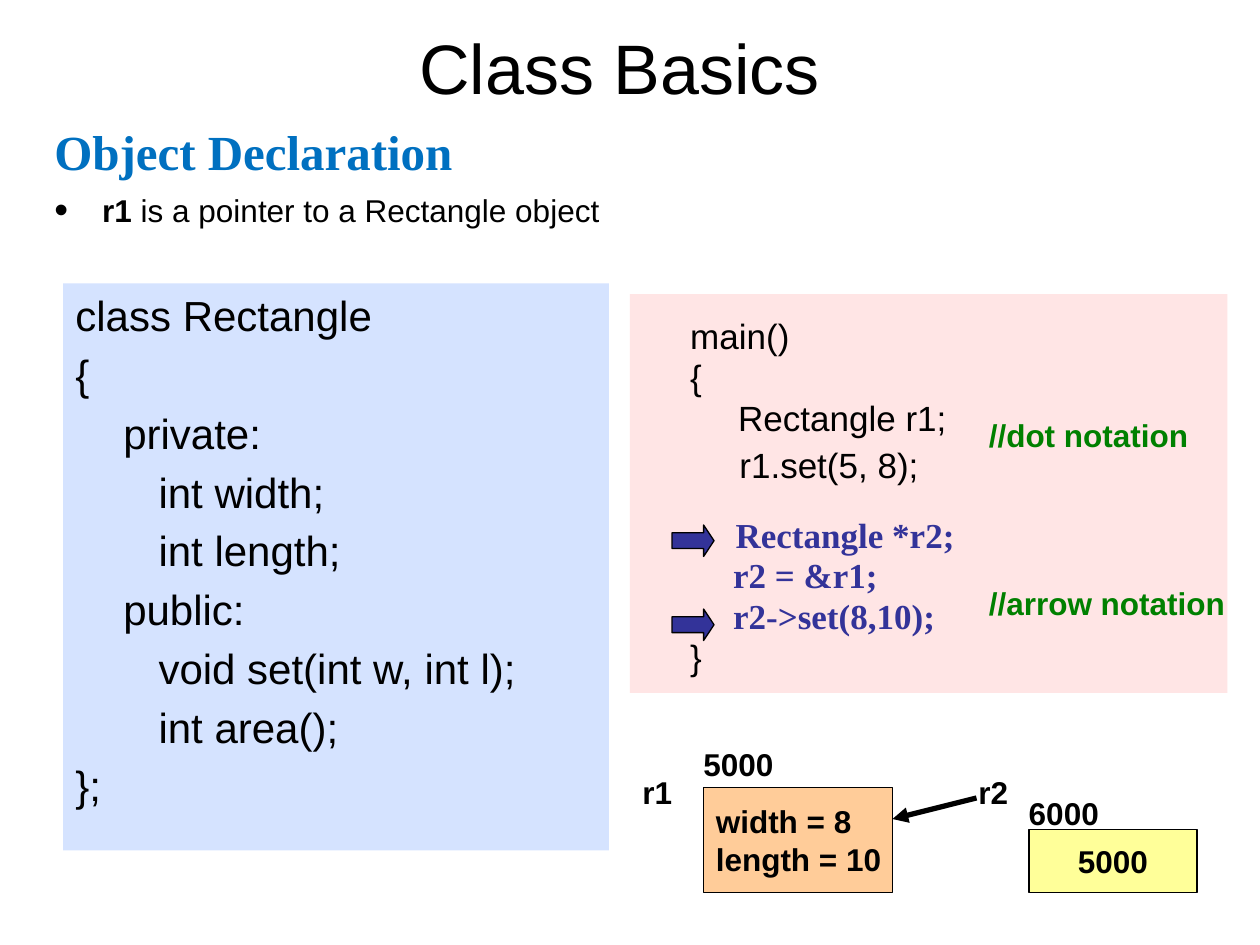
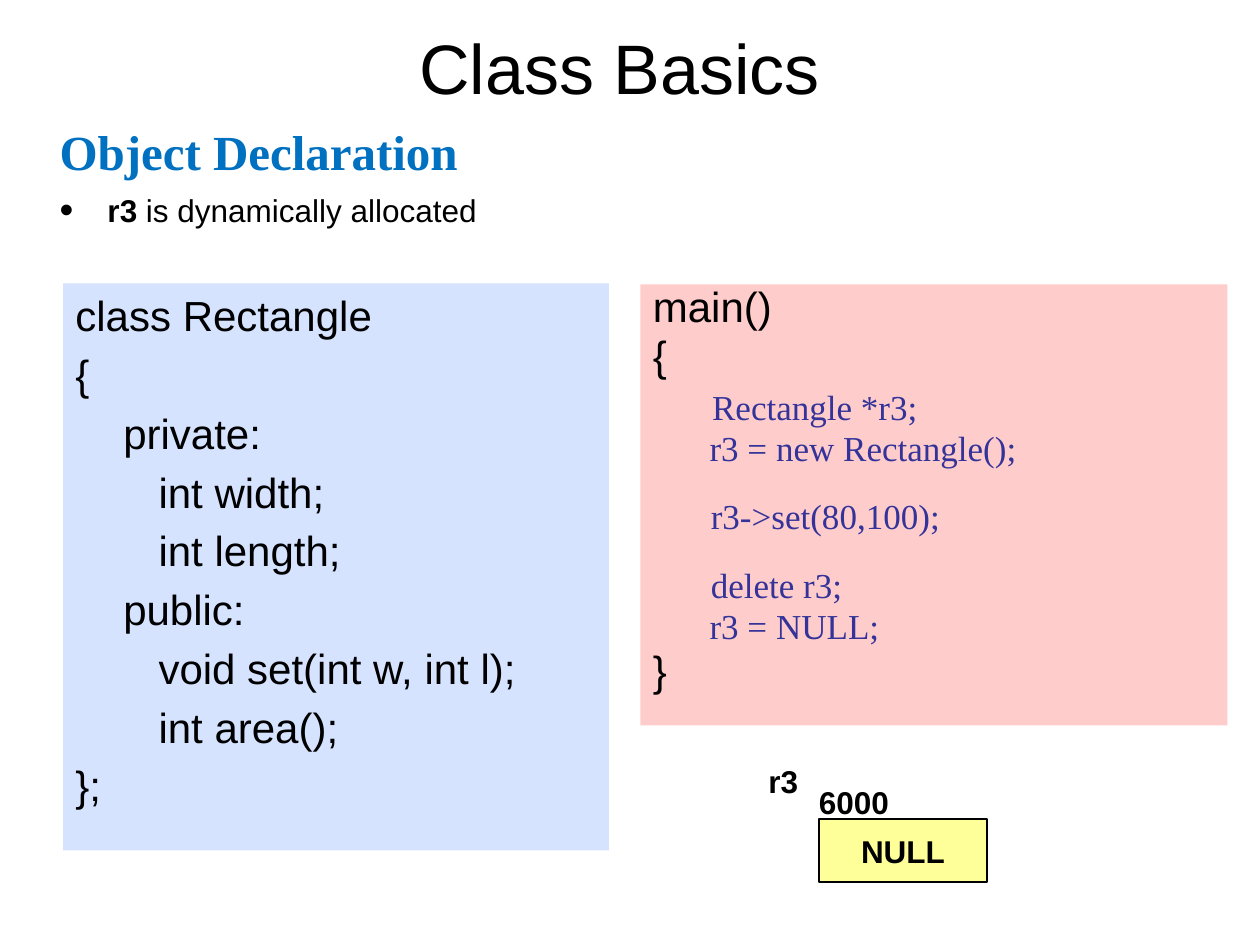
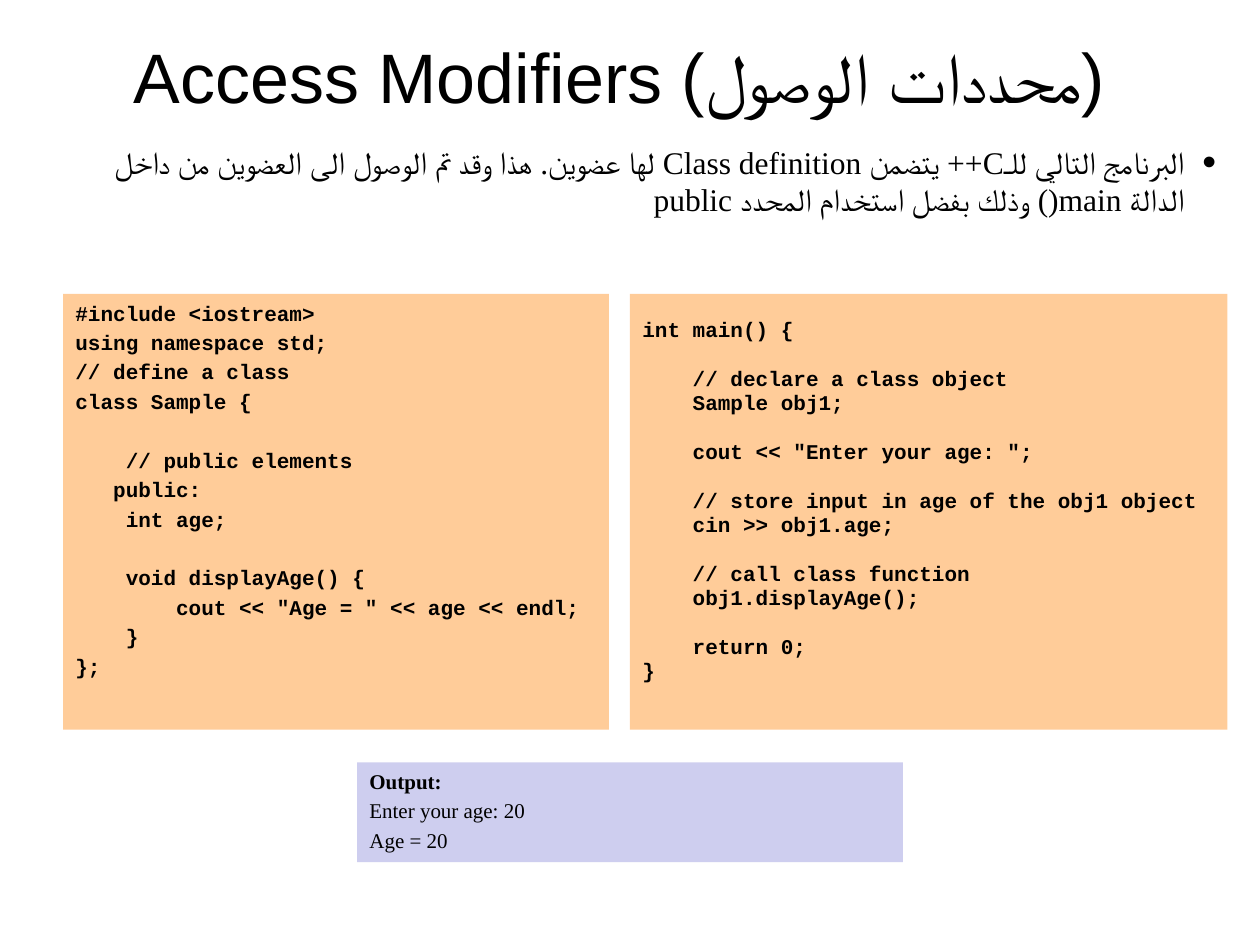
from pptx import Presentation
from pptx.dml.color import RGBColor as Rgb
from pptx.enum.shapes import MSO_CONNECTOR as Link, MSO_SHAPE as Kind
from pptx.enum.text import MSO_ANCHOR as Anchor, PP_ALIGN as Align
from pptx.oxml.ns import qn
from pptx.util import Inches, Pt
from lxml.etree import SubElement as Sub

UNIT = Inches(1) // 12
HUE = {
    "ink": "000000", "head": "0070C0", "code": "333399", "note": "008000",
    "class": "D5E3FF", "rose": "FFE5E5", "pink": "FFCCCC",
    "peach": "FFCC99", "lemon": "FFFF99", "mauve": "CECEEF",
}


def style(name, size, bold=False, hue="ink"):
    return {"name": name, "size": Pt(size), "bold": bold, "hue": hue}


SANS, SERIF, MONO = "Arial", "Times New Roman", "Courier New"
FONT = {
    "title": style(SANS, 40),
    "head": style(SERIF, 28, True, "head"),
    "body": style(SANS, 18),
    "bold": style(SANS, 18, True),
    "note": style(SANS, 18, True, "note"),
    "arab": style(SERIF, 18),
    "big": style(SANS, 24),
    "mid": style(SANS, 20),
    "call": style(SERIF, 20, True, "code"),
    "step": style(SERIF, 20, False, "code"),
    "mono": style(MONO, 12, True),
    "out": style(SERIF, 12),
    "cap": style(SERIF, 12, True),
}

CLASS = [
    (0, 0, "big", "class Rectangle"),
    (4.8, 0, "big", "{"),
    (4.8, 0.38, "big", "private:"),
    (4.8, 0.66, "big", "int width;"),
    (4.8, 0.66, "big", "int length;"),
    (4.8, 0.38, "big", "public:"),
    (4.8, 0.66, "big", "void set(int w, int l);"),
    (4.8, 0.66, "big", "int area();"),
    (4.8, 0, "big", "};"),
]
POINT = [
    (0, 0.38, "mid", "main()"),
    (4, 0.38, "mid", "{"),
    (4, 0.76, "mid", "Rectangle r1;"),
    (8, 0.77, "mid", "r1.set(5, 8);"),
    (20.5, 0.74, "call", "Rectangle *r2;"),
    (4, 0.72, "call", "r2 = &r1;"),
    (4, 0.72, "call", "r2->set(8,10);"),
    (4, 0.38, "mid", "}"),
]
HEAP = [
    (0, 0, "big", "main()"),
    (4.8, 0, "big", "{"),
    (8, 0.47, "step", "Rectangle *r3;"),
    (4, 0.45, "step", "r3 = new Rectangle();"),
    (20, 0.46, "step", "r3->set(80,100);"),
    (20, 0.46, "step", "delete r3;"),
    (4, 0.45, "step", "r3 = NULL;"),
    (4.8, 0, "big", "}"),
]
SAMPLE = """#include <iostream>
using namespace std;
// define a class
class Sample {

    // public elements
   public:
    int age;

    void displayAge() {
        cout << "Age = " << age << endl;
    }
};"""
MAIN = """int main() {

    // declare a class object
    Sample obj1;

    cout << "Enter your age: ";

    // store input in age of the obj1 object
    cin >> obj1.age;

    // call class function
    obj1.displayAge();

    return 0;
}"""
RESULT = [
    (0, 0, "cap", "Output:"),
    (2.4, 0, "out", "Enter your age: 20"),
    (2.4, 0, "out", "Age = 20"),
]
ARAB = ("البرنامج التالي للـC++ يتضمن Class definition لها عضوين. "
        "هذا وقد تم الوصول الى العضوين من داخل الدالة main() "
        "وذلك بفضل استخدام المحدد public")


def listing(code, lead, gap=2.4):
    rows, skip = [], 0
    for line in code.split("\n"):
        if not line:
            skip = 12 * 1.2 * lead + gap
            continue
        rows.append((gap + skip if rows else 0, 0, "mono", line))
        skip = 0
    return rows


SLIDES = [
    {
        "title": ("Class Basics", (5, 2, 108, 8.6)),
        "head": (4, "r1", " is a pointer to a Rectangle object"),
        "panels": [
            ((6, 27, 52, 54), "class", CLASS, 1, 0.05),
            ((60, 28, 56.9, 38), "rose", POINT, 0.8, 0.23),
        ],
        "marks": [(64, 50, 4, 3), (64, 58, 4, 3)],
        "cells": [
            ((98, 79, 16, 6), "lemon", ["5000"], Align.CENTER),
            ((67, 75, 18, 10), "peach", ["width = 8", "length = 10"], Align.LEFT),
        ],
        "labels": [
            (60, 73, 5.3, "bold", "r1"),
            (65.8, 70.4, 9.1, "bold", "5000"),
            (92, 73, 5.3, "bold", "r2"),
            (96.8, 75, 9.1, "bold", "6000"),
            (93, 39, 21.4, "note", "//dot notation"),
            (93, 55, 25, "note", "//arrow notation"),
        ],
        "links": [(93, 76, 85, 78)],
    },
    {
        "title": ("Class Basics", (5, 2, 108, 8.6)),
        "head": (4.5, "r3", " is dynamically allocated"),
        "panels": [
            ((6, 27, 52, 54), "class", CLASS, 1, 0.05),
            ((61, 27.1, 55.9, 42), "pink", HEAP, 0.8, 0.05),
        ],
        "cells": [((78, 78, 16, 6), "lemon", ["NULL"], Align.CENTER)],
        "labels": [
            (72, 72, 5.3, "bold", "r3"),
            (76.8, 74, 9.1, "bold", "6000"),
        ],
    },
    {
        "title": ("Access Modifiers (محددات الوصول)", (5, 3, 108, 8.4)),
        "arab": ARAB,
        "panels": [
            ((6, 28, 52, 41.5), "peach", listing(SAMPLE, 1), 1, 0.05),
            ((60, 28, 56.9, 41.5), "peach", listing(MAIN, 0.8), 0.8, 0.22),
            ((34, 72.6, 52, 9.5), "mauve", RESULT, 1, 0.05),
        ],
    },
]


def grid(box):
    return [round(n * UNIT) for n in box]


def rgb(hue):
    return Rgb.from_string(HUE[hue])


def put(para, text, key):
    run = para.add_run()
    run.text = text
    for name, val in FONT[key].items():
        if name == "hue":
            run.font.color.rgb = rgb(val)
        else:
            setattr(run.font, name, val)
    Sub(run._r.get_or_add_rPr(), qn("a:cs")).set("typeface", FONT[key]["name"])


def frame(shape, **form):
    base = {"word_wrap": True, "vertical_anchor": Anchor.TOP}
    for name, val in {**base, **form}.items():
        setattr(shape.text_frame, name, val)
    return shape.text_frame


def nth(body, i):
    return body.add_paragraph() if i else body.paragraphs[0]


def block(slide, box, hue, kind=Kind.RECTANGLE, edge=True):
    shape = slide.shapes.add_shape(kind, *grid(box))
    shape.shadow.inherit = False
    shape.fill.solid()
    shape.fill.fore_color.rgb = rgb(hue)
    if edge:
        shape.line.color.rgb = rgb("ink")
        shape.line.width = Pt(0.75)
    else:
        shape.line.fill.background()
    return shape


def indent(para, left, first=0):
    props = para._p.get_or_add_pPr()
    props.set("marL", str(Inches(left)))
    props.set("indent", str(Inches(first)))
    return props


def bullet(para, left):
    props = indent(para, left, -left)
    for tag, name, val in (("a:buSzPct", "val", "125000"),
                           ("a:buFont", "typeface", SANS),
                           ("a:buChar", "char", "•")):
        Sub(props, qn(tag)).set(name, val)
    return props


def panel(slide, box, hue, rows, lead, top):
    body = frame(block(slide, box, hue, edge=False), margin_top=Inches(top))
    for i, (gap, left, key, text) in enumerate(rows):
        para = nth(body, i)
        indent(para, left)
        form = {"alignment": Align.LEFT, "line_spacing": lead, "space_before": Pt(gap)}
        for name, val in form.items():
            setattr(para, name, val)
        put(para, text, key)


def cell(slide, box, hue, lines, align):
    shape = block(slide, box, hue)
    body = frame(shape, word_wrap=False, vertical_anchor=Anchor.MIDDLE)
    for i, text in enumerate(lines):
        para = nth(body, i)
        para.alignment = align
        put(para, text, "bold")


def mark(slide, *box):
    shape = block(slide, box, "code", Kind.RIGHT_ARROW)
    shape.adjustments[1] = 0.33


def label(slide, x, y, wide, key, text):
    box = slide.shapes.add_textbox(*grid((x, y, wide, 4.8)))
    put(frame(box, word_wrap=False).paragraphs[0], text, key)


def link(slide, *ends):
    line = slide.shapes.add_connector(Link.STRAIGHT, *grid(ends))
    line.line.color.rgb = rgb("ink")
    line.line.width = Pt(3)
    Sub(line.line._get_or_add_ln(), qn("a:tailEnd")).set("type", "triangle")
    Sub(line._element.spPr, qn("a:effectLst"))


def head(slide, x, name, rest):
    box = slide.shapes.add_textbox(*grid((x, 11, 113, 12)))
    body = frame(box)
    put(body.paragraphs[0], "Object Declaration", "head")
    para = body.add_paragraph()
    bullet(para, 0.38)
    para.space_before = Pt(6)
    put(para, name, "bold")
    put(para, rest, "body")


def arab(slide, text):
    box = slide.shapes.add_textbox(*grid((4, 13, 113, 13)))
    para = frame(box).paragraphs[0]
    bullet(para, 0.25).set("rtl", "1")
    para.alignment = Align.RIGHT
    put(para, text, "arab")


def title(slide, text, box):
    shape = slide.shapes.title
    for name, val in zip(("left", "top", "width", "height"), grid(box)):
        setattr(shape, name, val)
    para = frame(shape, vertical_anchor=Anchor.MIDDLE).paragraphs[0]
    para.alignment = Align.CENTER
    put(para, text, "title")


def main():
    deck = Presentation()
    deck.slide_width, deck.slide_height = Inches(10), Inches(7.5)
    parts = {"panels": panel, "marks": mark, "cells": cell,
             "labels": label, "links": link}
    for data in SLIDES:
        slide = deck.slides.add_slide(deck.slide_layouts[5])
        title(slide, *data["title"])
        if "head" in data:
            head(slide, *data["head"])
        if "arab" in data:
            arab(slide, data["arab"])
        for key, draw in parts.items():
            for item in data.get(key, []):
                draw(slide, *item)
    deck.save("out.pptx")


if __name__ == "__main__":
    main()
